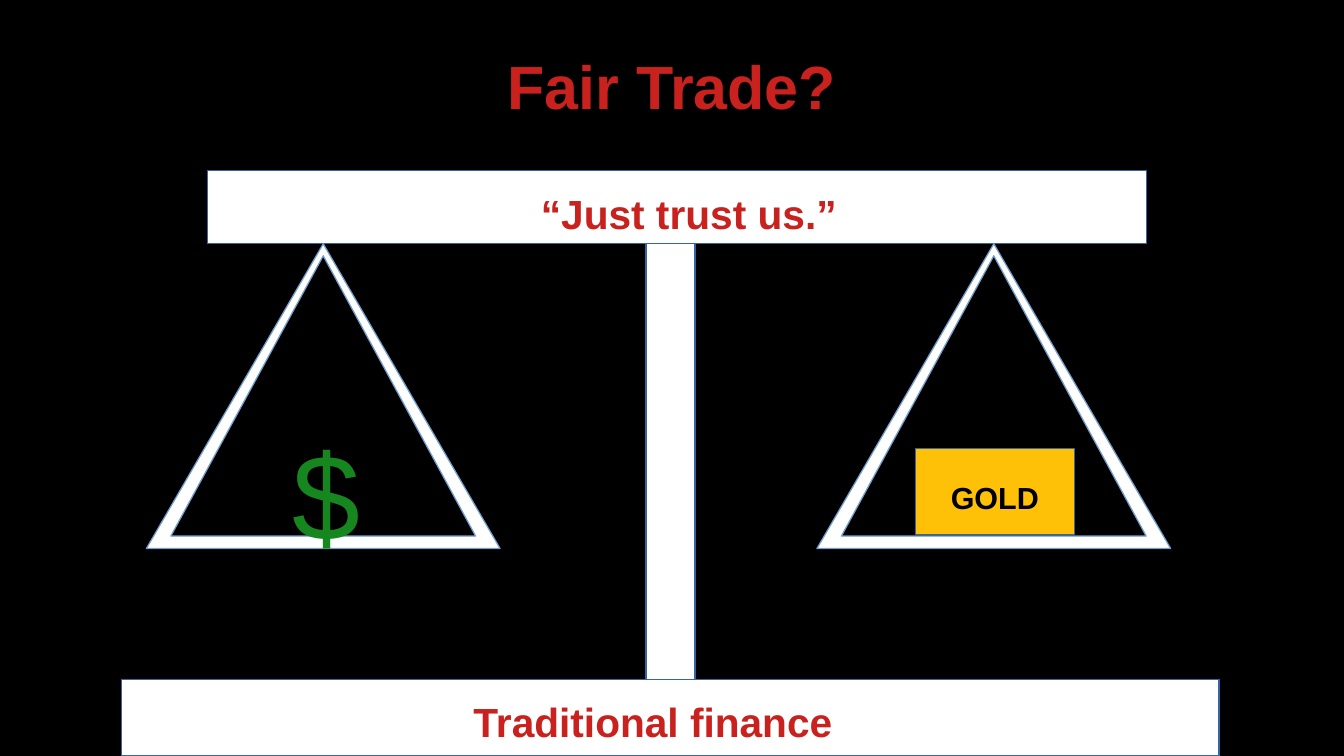
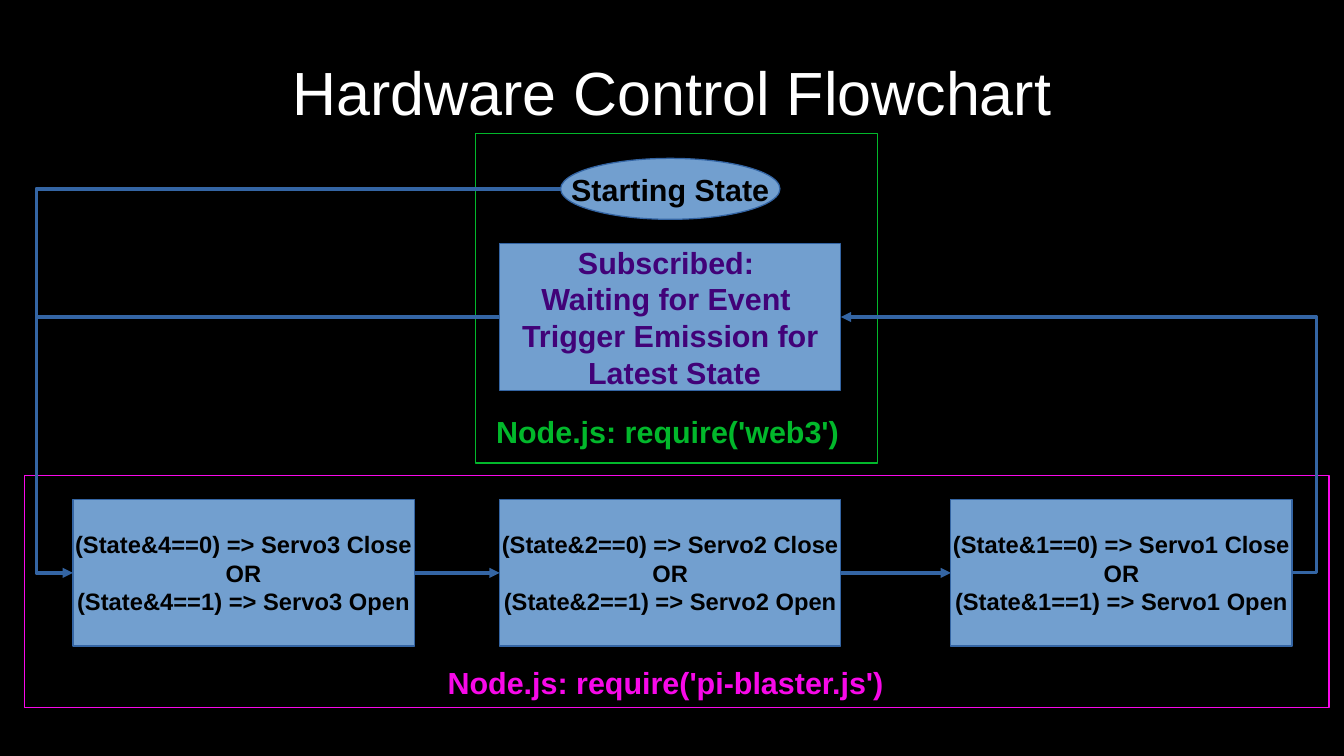
"""Build a fair-trade scale slide and a hardware control flowchart slide."""
from dataclasses import dataclass
from typing import NamedTuple, Optional

import pptx
import pptx.dml.color
import pptx.enum.shapes
import pptx.enum.text
import pptx.oxml.ns
import pptx.util
from lxml import etree
from pptx.presentation import Presentation
from pptx.shapes.autoshape import Shape
from pptx.shapes.connector import Connector
from pptx.slide import Slide
from pptx.text.text import TextFrame

Cm = pptx.util.Cm
SHAPE = pptx.enum.shapes.MSO_SHAPE
CONNECTOR = pptx.enum.shapes.MSO_CONNECTOR
ALIGN = pptx.enum.text.PP_ALIGN
ANCHOR = pptx.enum.text.MSO_ANCHOR
LEFT_SIDE, RIGHT_SIDE = 1, 3


@dataclass(frozen=True)
class Theme:
    font: str = "Arial"
    black: str = "000000"
    white: str = "FFFFFF"
    red: str = "C9211E"
    money: str = "16871F"
    gold: str = "FFC107"
    box: str = "729FCF"
    outline: str = "3465A4"
    purple: str = "410278"
    green: str = "02B82B"
    magenta: str = "F809E9"
    title_size: int = 36
    caption_size: int = 24
    label_size: int = 18
    step_size: int = 14
    symbol_size: int = 72


THEME = Theme()


class Area(NamedTuple):
    left: float
    top: float
    width: float
    height: float


class Style(NamedTuple):
    size: int
    color: str
    bold: bool = True
    align: ALIGN = ALIGN.CENTER
    anchor: ANCHOR = ANCHOR.TOP


class Label(NamedTuple):
    text: str
    area: Area
    style: Style


class Servo(NamedTuple):
    number: int
    mask: int
    left: float


SLIDE_WIDTH, SLIDE_HEIGHT = 28, 15.75
STEP_WIDTH, STEP_HEIGHT = 7.11, 3.05
STEP_TOP = 10.41
WAITING = Area(10.41, 5.08, STEP_WIDTH, STEP_HEIGHT)
START = Area(11.68, 3.3, 4.57, 1.27)
LEFT_LANE, RIGHT_LANE = 0.76, 27.43
SERVOS = (Servo(3, 4, 1.52), Servo(2, 2, 10.41), Servo(1, 1, 19.81))
CAPTION = Style(THEME.caption_size, THEME.red)


def rgb(color: str) -> pptx.dml.color.RGBColor:
    return pptx.dml.color.RGBColor.from_string(color)


def lengths(area: Area) -> list[Cm]:
    return [Cm(value) for value in area]


def write(frame: TextFrame, lines: list[str], style: Style) -> None:
    frame.vertical_anchor = style.anchor
    for index, line in enumerate(lines):
        paragraph = frame.paragraphs[0] if index == 0 else frame.add_paragraph()
        paragraph.alignment = style.align
        run = paragraph.add_run()
        run.text = line
        run.font.name = THEME.font
        run.font.size = pptx.util.Pt(style.size)
        run.font.bold = style.bold
        run.font.color.rgb = rgb(style.color)


def add_label(slide: Slide, label: Label) -> None:
    frame = slide.shapes.add_textbox(*lengths(label.area)).text_frame
    frame.word_wrap = True
    write(frame, [label.text], label.style)


def add_part(slide: Slide, kind: SHAPE, area: Area, fill: str,
             outline: str = THEME.outline) -> Shape:
    part = slide.shapes.add_shape(kind, *lengths(area))
    part.shadow.inherit = False
    part.fill.solid()
    part.fill.fore_color.rgb = rgb(fill)
    part.line.color.rgb = rgb(outline)
    part.line.width = pptx.util.Pt(0)
    return part


def add_step(slide: Slide, kind: SHAPE, area: Area, lines: list[str],
             size: int, color: str) -> Shape:
    step = add_part(slide, kind, area, THEME.box)
    step.text_frame.word_wrap = False
    write(step.text_frame, lines, Style(size, color, anchor=ANCHOR.MIDDLE))
    return step


def add_link(slide: Slide, start: tuple[float, float], end: tuple[float, float],
             source: Optional[Shape] = None, target: Optional[Shape] = None,
             source_side: int = RIGHT_SIDE, target_side: int = LEFT_SIDE,
             lane: Optional[float] = None) -> Connector:
    kind = CONNECTOR.STRAIGHT if lane is None else CONNECTOR.ELBOW
    link = slide.shapes.add_connector(kind, *map(Cm, start + end))
    if source is not None:
        link.begin_connect(source, source_side)
    if target is not None:
        link.end_connect(target, target_side)
    link.line.color.rgb = rgb(THEME.outline)
    link.line.width = pptx.util.Pt(0)
    qn = pptx.oxml.ns.qn
    properties = link._element.spPr
    if target is not None:
        etree.SubElement(properties.find(qn("a:ln")), qn("a:tailEnd"), type="triangle")
    etree.SubElement(properties, qn("a:effectLst"))
    if lane is not None:
        bend = round((lane - start[0]) / (end[0] - start[0]) * 100000)
        guides = properties.find(qn("a:prstGeom")).get_or_add_avLst()
        etree.SubElement(guides, qn("a:gd"), name="adj1", fmla=f"val {bend}")
    return link


def new_slide(deck: Presentation) -> Slide:
    slide = deck.slides.add_slide(deck.slide_layouts[6])
    slide.background.fill.solid()
    slide.background.fill.fore_color.rgb = rgb(THEME.black)
    return slide


def add_pan(slide: Slide, left: float) -> None:
    add_part(slide, SHAPE.ISOSCELES_TRIANGLE, Area(left, 5.08, 7.37, 6.35),
             THEME.white, THEME.box)
    add_part(slide, SHAPE.ISOSCELES_TRIANGLE, Area(left + 0.51, 5.33, 6.35, 5.84),
             THEME.black, THEME.box)


def build_scale(deck: Presentation) -> None:
    slide = new_slide(deck)
    post = Area(13.46, 4.57, 1.02, 10.16)
    beam = Area(4.32, 3.56, 19.56, 1.52)
    base = Area(2.54, 14.15, 22.86, 1.6)
    for area in (post, beam, base):
        add_part(slide, SHAPE.RECTANGLE, area, THEME.white)
    for left in (3.05, 17.02):
        add_pan(slide, left)
    add_part(slide, SHAPE.RECTANGLE, Area(19.08, 9.35, 3.3, 1.78), THEME.gold)
    labels = (
        Label("Fair Trade?", Area(0, 0, SLIDE_WIDTH, 3.56),
              Style(THEME.title_size, THEME.red, anchor=ANCHOR.MIDDLE)),
        Label("$", Area(5.84, 8.59, 1.78, 3.1),
              Style(THEME.symbol_size, THEME.money, False, ALIGN.LEFT)),
        Label("GOLD", Area(19.56, 9.86, 2.54, 1.68),
              Style(THEME.label_size, THEME.black, align=ALIGN.LEFT)),
        Label("“Just trust us.”", Area(4.57, 3.81, 19.56, 1.19), CAPTION),
        Label("Traditional finance ", Area(2.29, 14.4, 22.86, 1.35), CAPTION),
    )
    for label in labels:
        add_label(slide, label)


def build_flowchart(deck: Presentation) -> None:
    slide = new_slide(deck)
    add_part(slide, SHAPE.RECTANGLE, Area(9.91, 2.79, 8.38, 6.86),
             THEME.black, THEME.green)
    add_part(slide, SHAPE.RECTANGLE, Area(0.51, 9.91, 27.18, 4.83),
             THEME.black, THEME.magenta)
    labels = (
        Label("Hardware Control Flowchart", Area(0, 1.02, SLIDE_WIDTH, 3.1),
              Style(THEME.title_size, THEME.white, False)),
        Label("Node.js: require('pi-blaster.js')", Area(0, 13.72, 27.74, 1.68),
              Style(THEME.label_size, THEME.magenta)),
        Label("Node.js: require('web3') ", Area(0, 8.48, SLIDE_WIDTH, 1.68),
              Style(THEME.label_size, THEME.green)),
    )
    for label in labels:
        add_label(slide, label)

    waiting = add_step(
        slide, SHAPE.RECTANGLE, WAITING,
        ["Subscribed: ", "Waiting for Event ", "Trigger Emission for", " Latest State"],
        THEME.label_size, THEME.purple)
    add_step(slide, SHAPE.OVAL, START, ["Starting State"], THEME.label_size, THEME.black)
    steps = [
        add_step(slide, SHAPE.RECTANGLE,
                 Area(servo.left, STEP_TOP, STEP_WIDTH, STEP_HEIGHT),
                 [f"(State&{servo.mask}==0) => Servo{servo.number} Close", "OR",
                  f"(State&{servo.mask}==1) => Servo{servo.number} Open"],
                 THEME.step_size, THEME.black)
        for servo in SERVOS
    ]

    step_middle = STEP_TOP + STEP_HEIGHT / 2
    waiting_middle = WAITING.top + WAITING.height / 2
    add_link(slide, (START.left, START.top + START.height / 2),
             (SERVOS[0].left, step_middle), target=steps[0], lane=LEFT_LANE)
    add_link(slide, (SERVOS[-1].left + STEP_WIDTH, step_middle),
             (WAITING.left + WAITING.width, waiting_middle), steps[-1], waiting,
             target_side=RIGHT_SIDE, lane=RIGHT_LANE)
    for index in range(len(SERVOS) - 1):
        add_link(slide, (SERVOS[index].left + STEP_WIDTH, step_middle),
                 (SERVOS[index + 1].left, step_middle), steps[index], steps[index + 1])
    add_link(slide, (WAITING.left, waiting_middle), (LEFT_LANE, waiting_middle),
             waiting, source_side=LEFT_SIDE)


def main() -> None:
    deck = pptx.Presentation()
    deck.slide_width, deck.slide_height = Cm(SLIDE_WIDTH), Cm(SLIDE_HEIGHT)
    build_scale(deck)
    build_flowchart(deck)
    deck.save("out.pptx")


if __name__ == "__main__":
    main()
